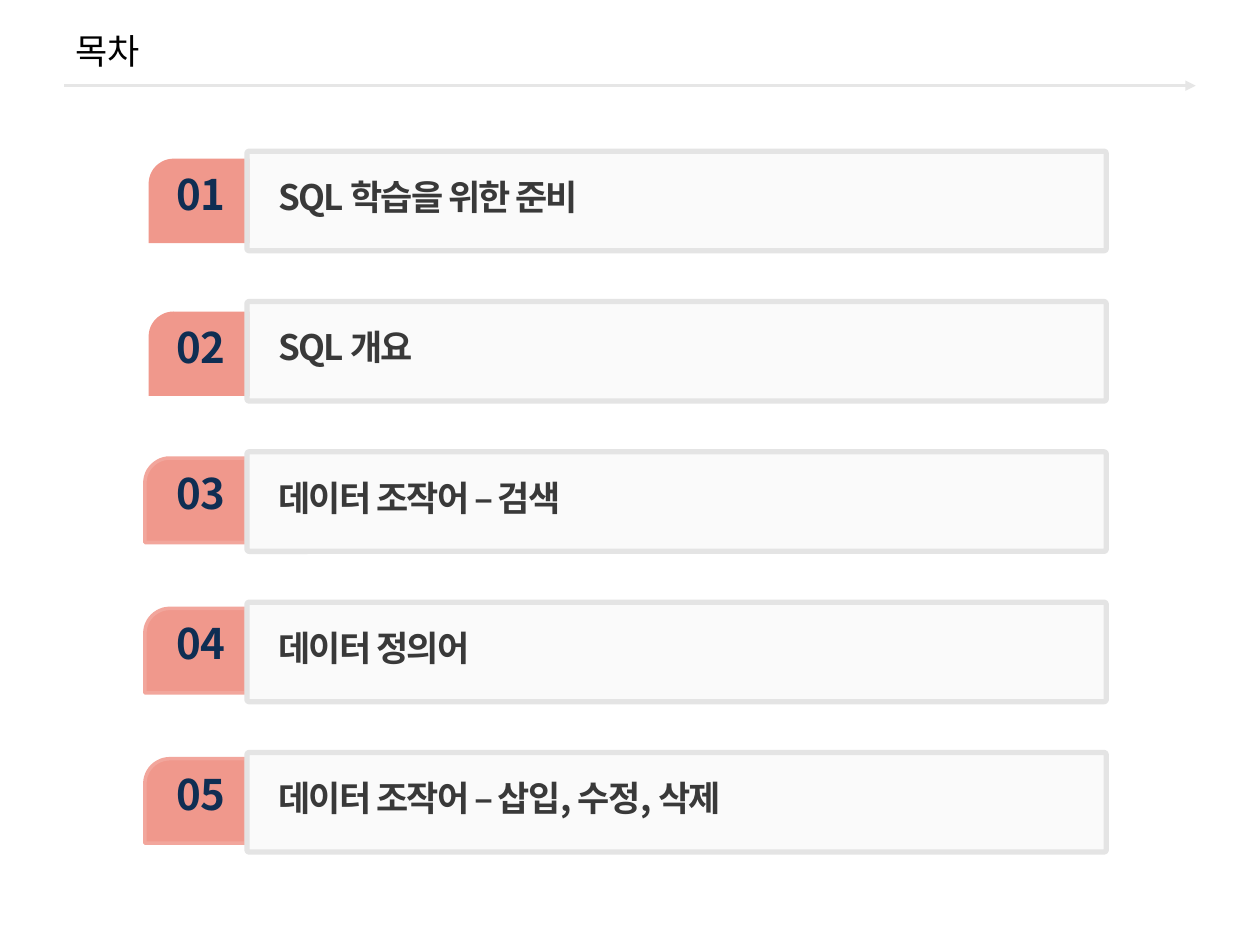
from lxml import etree
from pptx import Presentation
from pptx.dml.color import RGBColor
from pptx.enum.shapes import MSO_CONNECTOR, MSO_SHAPE
from pptx.enum.text import MSO_ANCHOR, PP_ALIGN
from pptx.oxml.ns import qn
from pptx.util import Inches, Pt

STRAIGHT = MSO_CONNECTOR.STRAIGHT
CARD_SHAPE = MSO_SHAPE.ROUNDED_RECTANGLE
TAB_SHAPE = MSO_SHAPE.SNIP_ROUND_RECTANGLE
TOP, MIDDLE = MSO_ANCHOR.TOP, MSO_ANCHOR.MIDDLE
LEFT, CENTER = PP_ALIGN.LEFT, PP_ALIGN.CENTER

BLACK = RGBColor(0x00, 0x00, 0x00)
RULE_GRAY = RGBColor(0xE6, 0xE6, 0xE6)
CORAL = RGBColor(0xF0, 0x98, 0x8C)
CORAL_EDGE = RGBColor(0xF2, 0xA6, 0x9C)
NAVY = RGBColor(0x0F, 0x2E, 0x53)
CARD_GRAY = RGBColor(0xF2, 0xF2, 0xF2)
CARD_EDGE = RGBColor(0xE4, 0xE4, 0xE4)
CHARCOAL = RGBColor(0x39, 0x39, 0x39)

FONT = "Noto Sans CJK KR"
COLUMNS, ROWS = 100, 75          # grid cells across and down the slide
FIRST_ROW, ROW_STEP = 12, 11.93  # top of the first card, distance to the next


def write(frame, text, size=20, color=BLACK, bold=False, align=LEFT,
          line_spacing=None, tracking=None):
    """Put one formatted paragraph into a text frame."""
    paragraph = frame.paragraphs[0]
    paragraph.alignment = align
    if line_spacing:
        paragraph.line_spacing = line_spacing
    run = paragraph.add_run()
    run.text = text
    font = run.font
    font.name, font.size, font.bold = FONT, Pt(size), bold
    font.color.rgb = color
    properties = run._r.get_or_add_rPr()
    etree.SubElement(properties, qn("a:ea"), typeface=FONT)
    if tracking:
        properties.set("spc", str(int(tracking * 100)))


class ContentsSlide:
    """Holds the slide and its grid; all lengths are grid cells."""

    def __init__(self, deck):
        self.slide = deck.slides.add_slide(deck.slide_layouts[6])
        self.cell_width = deck.slide_width / COLUMNS
        self.cell_height = deck.slide_height / ROWS

    def place(self, column, row, width, height):
        return (round(column * self.cell_width), round(row * self.cell_height),
                round(width * self.cell_width), round(height * self.cell_height))

    def text(self, box, text, anchor=TOP, wrap=True, **style):
        frame = self.slide.shapes.add_textbox(*self.place(*box)).text_frame
        frame.word_wrap = wrap
        frame.vertical_anchor = anchor
        frame.margin_top = frame.margin_bottom = 0
        write(frame, text, **style)

    def block(self, kind, box, fill, adjustments, edge=None, edge_width=0, opacity=None):
        block = self.slide.shapes.add_shape(kind, *self.place(*box))
        block.shadow.inherit = False
        for index, value in enumerate(adjustments):
            block.adjustments[index] = value
        block.fill.solid()
        block.fill.fore_color.rgb = fill
        if opacity:
            color = block._element.spPr.find(qn("a:solidFill"))[0]
            etree.SubElement(color, qn("a:alpha"), val=str(opacity * 1000))
        if edge:
            block.line.color.rgb = edge
            block.line.width = Pt(edge_width)
        else:
            block.line.fill.background()

    def arrow(self, start, end, row):
        x, y, length, _ = self.place(start, row, end - start, 0)
        arrow = self.slide.shapes.add_connector(STRAIGHT, x, y, x + length, y)
        arrow.line.color.rgb = RULE_GRAY
        arrow.line.width = Pt(1.5)
        etree.SubElement(arrow.line._get_or_add_ln(), qn("a:tailEnd"), type="triangle")
        etree.SubElement(arrow._element.spPr, qn("a:effectLst"))

    def chapter(self, index, title, tab_drop, edged):
        top = FIRST_ROW + index * ROW_STEP
        tab_top = top + tab_drop
        # Number tab
        self.block(TAB_SHAPE, (11.5 if edged else 11.8, tab_top, 8, 6.7), CORAL,
                   (0.296, 0), edge=CORAL_EDGE if edged else None, edge_width=2)
        self.text((13, tab_top + 0.75, 5.9, 5), f"{index + 1:02}", wrap=False,
                  size=24, color=NAVY, bold=True, align=CENTER)
        # Title card
        self.block(CARD_SHAPE, (19.6, top, 68.2, 7.9), CARD_GRAY, (0.023,),
                   edge=CARD_EDGE, edge_width=3, opacity=33)
        self.text((21.1, top + 1.6, 52.8, 4.4), title, color=CHARCOAL, bold=True,
                  line_spacing=1.1, tracking=-1)


def main():
    deck = Presentation()
    deck.slide_width, deck.slide_height = Inches(10), Inches(7.5)
    contents = ContentsSlide(deck)

    # Heading
    contents.arrow(5.1, 94.9, 6.8)
    contents.text((5, 0.8, 90, 6.4), "목차", anchor=MIDDLE)

    # Chapters: title, drop of the tab below the card's top, outlined tab
    chapters = [
        ("SQL 학습을 위한 준비", 0.6, False),
        ("SQL 개요", 0.8, False),
        ("데이터 조작어 – 검색", 0.5, True),
        ("데이터 정의어", 0.5, True),
        ("데이터 조작어 – 삽입, 수정, 삭제", 0.5, True),
    ]
    for index, chapter in enumerate(chapters):
        contents.chapter(index, *chapter)

    deck.save("out.pptx")


if __name__ == "__main__":
    main()
